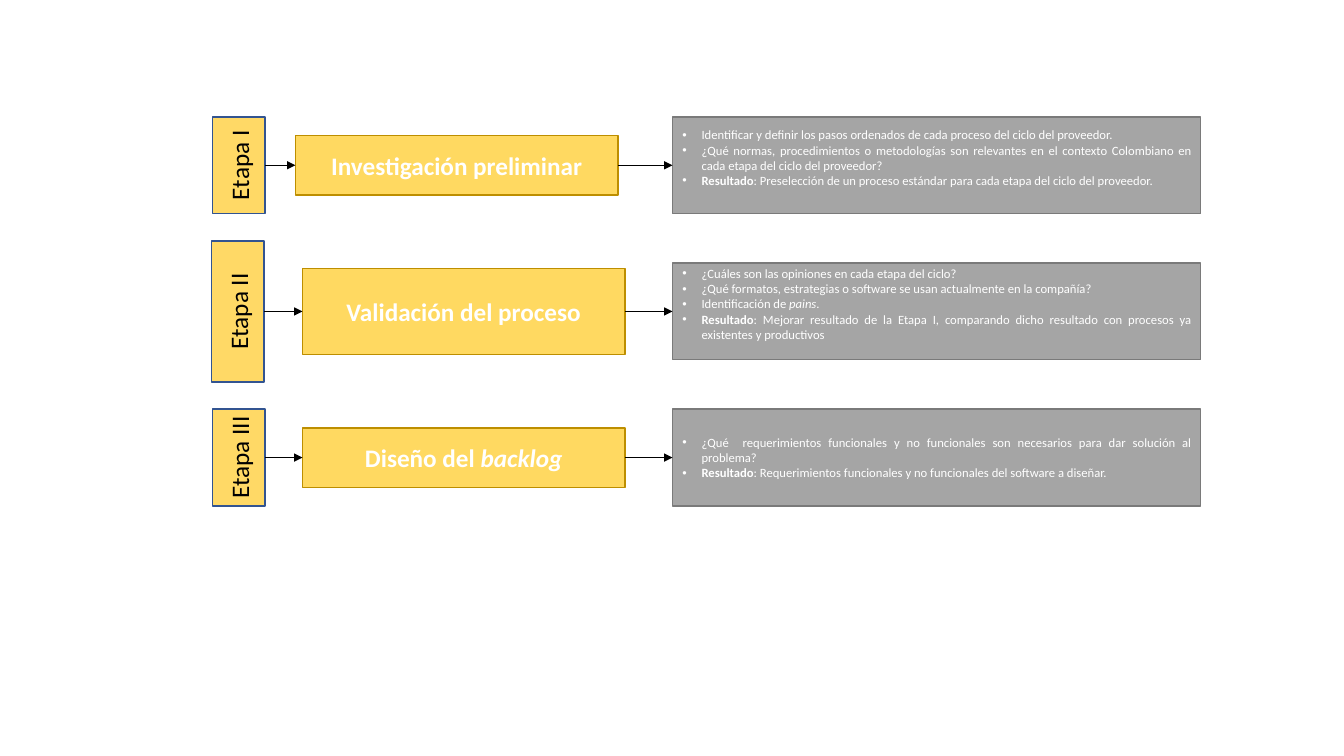
from lxml import etree
from pptx import Presentation
from pptx.dml.color import RGBColor
from pptx.enum.shapes import MSO_CONNECTOR, MSO_SHAPE
from pptx.enum.text import MSO_ANCHOR, PP_ALIGN
from pptx.oxml.ns import qn
from pptx.util import Inches, Pt

RECTANGLE = MSO_SHAPE.RECTANGLE
STRAIGHT = MSO_CONNECTOR.STRAIGHT
MIDDLE = MSO_ANCHOR.MIDDLE
CENTER = PP_ALIGN.CENTER
JUSTIFY = PP_ALIGN.JUSTIFY

FONT = "Calibri"
FIRST_ROW_Y, ROW_STEP = 1.64, 1.45
STAGE_WIDTH, STAGE_INSET, TITLE_WIDTH = 0.52, 0.02, 3.2
DETAIL_LEFT, DETAIL_WIDTH, DETAIL_HEIGHT = 6.67, 5.24, 0.96
BULLET_INDENT = 0.19

STAGES = [
    {
        "stage": "Etapa I", "stage_left": 2.11, "stage_height": 0.96,
        "title": [("Investigación preliminar", "b")],
        "title_left": 2.93, "title_height": 0.59, "bottom_inset": 0.2,
        "details": [
            [("Identificar y definir los pasos ordenados de cada proceso "
              "del ciclo del proveedor.", "")],
            [("¿Qué normas, procedimientos o metodologías son relevantes en el "
              "contexto Colombiano en cada etapa del ciclo del proveedor?", "")],
            [("Resultado", "b"),
             (": Preselección de un proceso estándar para cada etapa "
              "del ciclo del proveedor.", "")],
        ],
    },
    {
        "stage": "Etapa II", "stage_left": 2.1, "stage_height": 1.4,
        "title": [("Validación del proceso", "b")],
        "title_left": 3, "title_height": 0.85, "bottom_inset": 0.2,
        "details": [
            [("¿Cuáles son las opiniones en cada etapa del ciclo?", "")],
            [("¿Qué formatos, estrategias o software se usan actualmente "
              "en la compañía?", "")],
            [("Identificación de ", ""), ("pains", "i"), (".", "")],
            [("Resultado", "b"),
             (": Mejorar resultado de la Etapa I, comparando dicho resultado "
              "con procesos ya existentes y productivos", "")],
        ],
    },
    {
        "stage": "Etapa III", "stage_left": 2.11, "stage_height": 0.96,
        "title": [("Diseño del ", "b"), ("backlog", "bi")],
        "title_left": 3, "title_height": 0.59, "bottom_inset": 0.05,
        "details": [
            [("¿Qué  requerimientos funcionales y no funcionales son necesarios "
              "para dar solución al problema?", "")],
            [("Resultado", "b"),
             (": Requerimientos funcionales y no funcionales del software "
              "a diseñar.", "")],
        ],
    },
]


def color(hex_code):
    """Return the colour for a hex string."""
    return RGBColor.from_string(hex_code)


def add_box(slide, left, center_y, width, height, fill, outline):
    """Add a rectangle centred vertically on its row."""
    box = slide.shapes.add_shape(
        RECTANGLE, Inches(left), Inches(center_y - height / 2),
        Inches(width), Inches(height))
    box.shadow.inherit = False
    box.fill.solid()
    box.fill.fore_color.rgb = color(fill)
    box.line.color.rgb = color(outline)
    box.line.width = Pt(1)
    box.text_frame.word_wrap = True
    box.text_frame.vertical_anchor = MIDDLE
    return box


def write_paragraph(paragraph, runs, size, hex_code, alignment):
    """Write (text, style) runs, where style may hold b and i."""
    paragraph.alignment = alignment
    for text, style in runs:
        run = paragraph.add_run()
        run.text = text
        run.font.name = FONT
        run.font.size = Pt(size)
        run.font.bold = "b" in style
        run.font.italic = "i" in style
        run.font.color.rgb = color(hex_code)


def add_bullet(paragraph):
    """Give a paragraph a hanging bullet."""
    properties = paragraph._p.get_or_add_pPr()
    properties.set("marL", str(Inches(BULLET_INDENT)))
    properties.set("indent", str(-Inches(BULLET_INDENT)))
    etree.SubElement(properties, qn("a:buFont")).set("typeface", "Arial")
    etree.SubElement(properties, qn("a:buChar")).set("char", "•")


def add_stage(slide, row, center_y):
    """Add the vertical stage label, with insets that keep it on one line."""
    stage = add_box(slide, row["stage_left"], center_y, STAGE_WIDTH,
                    row["stage_height"], "FFD966", "325491")
    frame = stage.text_frame
    frame.margin_left = frame.margin_right = Inches(STAGE_INSET)
    frame.margin_top = frame.margin_bottom = Inches(STAGE_INSET)
    frame._txBody.bodyPr.set("vert", "vert270")
    write_paragraph(frame.paragraphs[0], [(row["stage"], "")],
                    18, "000000", CENTER)
    return stage


def add_title(slide, row, center_y):
    """Add the box that names the activity of a stage."""
    title = add_box(slide, row["title_left"], center_y, TITLE_WIDTH,
                    row["title_height"], "FFD961", "BD8E00")
    write_paragraph(title.text_frame.paragraphs[0], row["title"],
                    18, "FFFFFF", CENTER)
    return title


def add_details(slide, row, center_y):
    """Add the bulleted box of questions and results."""
    details = add_box(slide, DETAIL_LEFT, center_y, DETAIL_WIDTH,
                      DETAIL_HEIGHT, "A5A5A5", "7A7A7A")
    frame = details.text_frame
    frame.margin_bottom = Inches(row["bottom_inset"])
    for index, runs in enumerate(row["details"]):
        paragraph = frame.add_paragraph() if index else frame.paragraphs[0]
        write_paragraph(paragraph, runs, 9, "FFFFFF", JUSTIFY)
        add_bullet(paragraph)
    return details


def add_arrow(slide, source, target):
    """Connect the right side of one box to the left side of the next."""
    arrow = slide.shapes.add_connector(STRAIGHT, 0, 0, 0, 0)
    arrow.begin_connect(source, 3)
    arrow.end_connect(target, 1)
    arrow.line.color.rgb = color("000000")
    arrow.line.width = Pt(0.5)
    head = etree.SubElement(arrow.line._get_or_add_ln(), qn("a:tailEnd"))
    head.set("type", "triangle")
    etree.SubElement(arrow._element.spPr, qn("a:effectLst"))


def main():
    """Build the slide of the three project stages."""
    deck = Presentation()
    deck.slide_width, deck.slide_height = Inches(13.33), Inches(7.5)
    slide = deck.slides.add_slide(deck.slide_layouts[6])
    for index, row in enumerate(STAGES):
        center_y = FIRST_ROW_Y + index * ROW_STEP
        stage = add_stage(slide, row, center_y)
        title = add_title(slide, row, center_y)
        details = add_details(slide, row, center_y)
        add_arrow(slide, stage, title)
        add_arrow(slide, title, details)
    deck.save("out.pptx")


if __name__ == "__main__":
    main()
